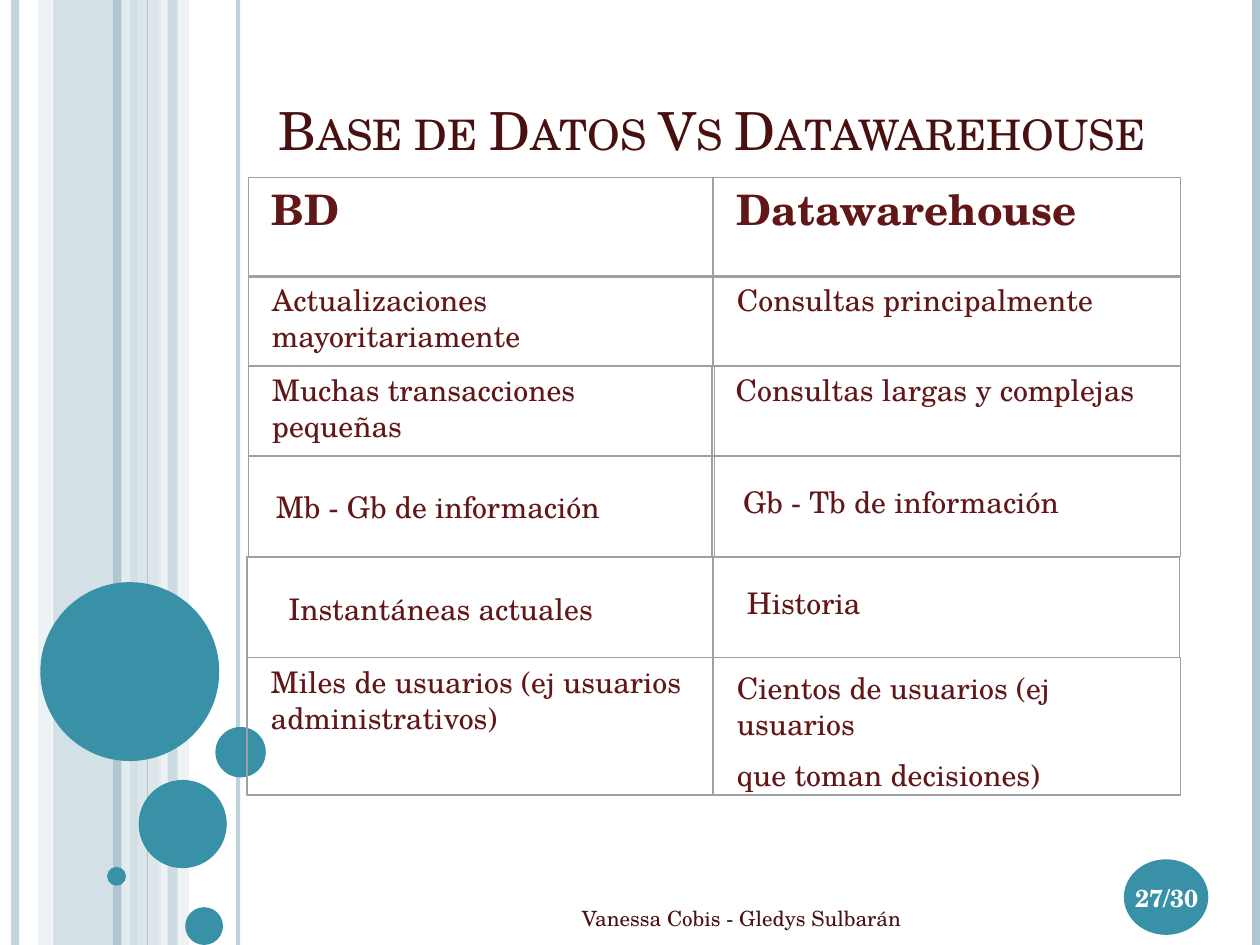
from typing import NamedTuple

from pptx import Presentation
from pptx.dml.color import RGBColor
from pptx.enum.shapes import MSO_CONNECTOR, MSO_SHAPE
from pptx.enum.text import MSO_ANCHOR, MSO_AUTO_SIZE, PP_ALIGN
from pptx.oxml.ns import qn
from pptx.oxml.xmlchemy import OxmlElement
from pptx.util import Inches, Pt

FONT = "TeX Gyre Schola"
BLUE, PALE, MIST, FOG = "3891A7", "AFC7D0", "CEDCE1", "E8EEF1"
WINE, DARK, GREY, WHITE = "611617", "481011", "A0A0A0", "FFFFFF"
TALL = 7.5
LEFT, JUST, MID = PP_ALIGN.LEFT, PP_ALIGN.JUSTIFY, PP_ALIGN.CENTER


class Box(NamedTuple):
    x: float
    y: float
    w: float
    h: float


class Band(NamedTuple):
    x: float
    w: float
    tint: str
    alpha: int


class Rule(NamedTuple):
    x: float
    size: float
    tint: str
    alpha: int = 100


class Note(NamedTuple):
    box: Box
    lines: list[str]
    size: float = 17
    tint: str = WINE
    bold: bool = False
    align: PP_ALIGN = LEFT
    anchor: MSO_ANCHOR = MSO_ANCHOR.TOP
    wrap: bool = True
    gap: float = 0


BANDS = [
    Band(0.42, 0.67, PALE, 54),
    Band(0.3, 0.11, MIST, 36),
    Band(1.08, 0.2, MIST, 70),
    Band(1.25, 0.25, FOG, 71),
]
RULES = [
    Rule(0.12, 4.5, PALE, 73),
    Rule(1, 4.5, FOG, 83),
    Rule(0.93, 4.5, PALE),
    Rule(1.89, 2.25, PALE, 82),
    Rule(1.17, 0.75, PALE),
    Rule(9.97, 4.5, PALE),
]
FRONT = Band(1.33, 0.08, PALE, 51)
DOTS = [
    Box(0.32, 4.62, 1.42, 1.42),
    Box(1.1, 6.19, 0.7, 0.7),
    Box(0.85, 6.88, 0.15, 0.15),
    Box(1.47, 7.2, 0.3, 0.3),
    Box(1.71, 5.77, 0.4, 0.4),
    Box(8.92, 6.82, 0.67, 0.6),
]
# Each row: top, height, then left and width of both cells
ROWS = [
    (1.41, 0.79, (1.97, 3.69), (5.66, 3.71)),
    (2.19, 0.72, (1.97, 3.69), (5.66, 3.71)),
    (2.9, 0.72, (1.97, 3.7), (5.65, 3.72)),
    (3.62, 0.8, (1.97, 3.7), (5.65, 3.72)),
    (4.42, 0.8, (1.96, 3.7), (5.66, 3.7)),
    (5.22, 1.09, (1.96, 3.7), (5.66, 3.71)),
]
NOTES = [
    Note(Box(2.11, 0.08, 7.58, 1.25), ["Base de Datos Vs Datawarehouse"],
         30, DARK, anchor=MSO_ANCHOR.BOTTOM),
    Note(Box(8.83, 6.84, 0.86, 0.57), ["27/30"], 14, WHITE, True, MID,
         MSO_ANCHOR.MIDDLE),
    Note(Box(2.06, 1.41, 3.51, 0.79), ["BD"], 24, bold=True),
    Note(Box(5.75, 1.41, 3.54, 0.79), ["Datawarehouse"], 24, bold=True),
    Note(Box(2.06, 2.19, 3.51, 0.72), ["Actualizaciones mayoritariamente"],
         align=JUST),
    Note(Box(5.75, 2.19, 3.54, 0.72), ["Consultas principalmente"], align=JUST),
    Note(Box(2.06, 2.9, 3.52, 0.72), ["Muchas transacciones pequeñas"]),
    Note(Box(5.74, 2.9, 3.55, 0.72), ["Consultas largas y complejas"],
         align=JUST),
    Note(Box(2.09, 3.83, 2.79, 0.39), ["Mb - Gb de información"], wrap=False),
    Note(Box(5.8, 3.79, 2.73, 0.39), ["Gb - Tb de información"], wrap=False),
    Note(Box(2.19, 4.64, 2.64, 0.39), ["Instantáneas actuales"], wrap=False),
    Note(Box(5.83, 4.59, 1.11, 0.39), ["Historia"], wrap=False),
    Note(Box(2.05, 5.22, 3.52, 1.09),
         ["Miles de usuarios (ej usuarios", "administrativos)"], align=JUST),
    Note(Box(5.75, 5.27, 3.63, 1.1),
         ["Cientos de usuarios (ej usuarios", "que toman decisiones)"],
         gap=8.5),
    Note(Box(4.52, 7.08, 3.06, 0.42), ["Vanessa Cobis - Gledys Sulbarán"],
         12, DARK, anchor=MSO_ANCHOR.MIDDLE),
]


def paint(fill, tint: str, alpha: int = 100) -> None:
    fill.solid()
    fill.fore_color.rgb = RGBColor.from_string(tint)
    if alpha < 100:
        node = OxmlElement("a:alpha")
        node.set("val", str(alpha * 1000))
        fill._xPr.find(qn("a:solidFill"))[0].append(node)


def place(box: Box) -> list[int]:
    return [Inches(side) for side in box]


def draw_shape(slide, kind: MSO_SHAPE, box: Box, tint: str = "",
               alpha: int = 100, edge: str = "") -> None:
    shape = slide.shapes.add_shape(kind, *place(box))
    shape.shadow.inherit = False
    if tint:
        paint(shape.fill, tint, alpha)
    else:
        shape.fill.background()
    if edge:
        paint(shape.line.fill, edge)
        shape.line.width = Pt(0)
    else:
        shape.line.fill.background()


def draw_band(slide, band: Band) -> None:
    draw_shape(slide, MSO_SHAPE.RECTANGLE, Box(band.x, 0, band.w, TALL),
               band.tint, band.alpha)


def draw_rule(slide, rule: Rule) -> None:
    x = Inches(rule.x)
    line = slide.shapes.add_connector(MSO_CONNECTOR.STRAIGHT, x, 0, x,
                                      Inches(TALL))
    paint(line.line.fill, rule.tint, rule.alpha)
    line.line.width = Pt(rule.size)
    line._element.spPr.append(OxmlElement("a:effectLst"))


def draw_note(slide, note: Note):
    shape = slide.shapes.add_textbox(*place(note.box))
    frame = shape.text_frame
    frame.text = "\n".join(note.lines)
    frame.word_wrap = note.wrap
    frame.vertical_anchor = note.anchor
    if not note.wrap:
        frame.auto_size = MSO_AUTO_SIZE.SHAPE_TO_FIT_TEXT
    for item in frame.paragraphs:
        item.alignment = note.align
        item.font.name = FONT
        item.font.size = Pt(note.size)
        item.font.bold = note.bold
        item.font.color.rgb = RGBColor.from_string(note.tint)
    if note.gap:
        frame.paragraphs[-1].space_before = Pt(note.gap)
    return shape


def main() -> None:
    deck = Presentation()
    deck.slide_width, deck.slide_height = Inches(10), Inches(TALL)
    slide = deck.slides.add_slide(deck.slide_layouts[6])
    for band in BANDS:
        draw_band(slide, band)
    for rule in RULES:
        draw_rule(slide, rule)
    draw_band(slide, FRONT)
    for dot in DOTS:
        draw_shape(slide, MSO_SHAPE.OVAL, dot, BLUE)
    for top, high, *cells in ROWS:
        for left, wide in cells:
            draw_shape(slide, MSO_SHAPE.RECTANGLE, Box(left, top, wide, high),
                       edge=GREY)
    title, *_ = [draw_note(slide, note) for note in NOTES]
    for font in title._element.iter(qn("a:defRPr")):
        font.set("cap", "small")
    deck.save("out.pptx")


if __name__ == "__main__":
    main()
